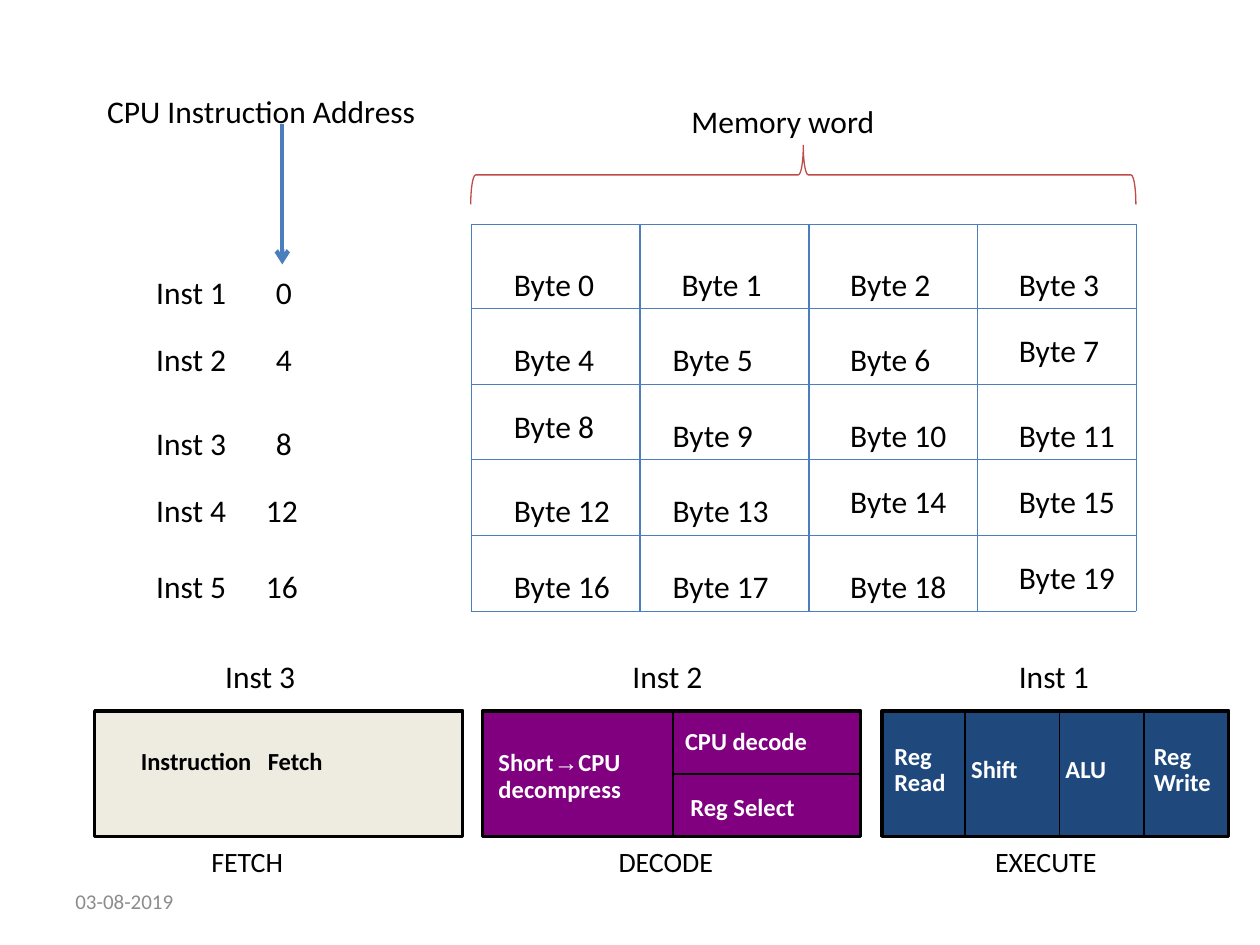
from lxml import etree
from pptx import Presentation
from pptx.dml.color import RGBColor
from pptx.enum.shapes import MSO_CONNECTOR, MSO_SHAPE
from pptx.enum.text import MSO_ANCHOR
from pptx.oxml.ns import qn
from pptx.util import Cm, Pt

STRAIGHT = MSO_CONNECTOR.STRAIGHT
MIDDLE = MSO_ANCHOR.MIDDLE
RECTANGLE = MSO_SHAPE.RECTANGLE
RIGHT_BRACE = MSO_SHAPE.RIGHT_BRACE

COLORS = {
    "text": "000000",
    "white": "FFFFFF",
    "date": "8C8C8C",
    "grid": "4B7EBC",
    "brace": "BF4C48",
    "fetch": "EEECE1",
    "decode": "800080",
    "execute": "1F497D",
}

presentation = Presentation()
presentation.slide_width = Cm(25.4)
presentation.slide_height = Cm(19.05)
slide = presentation.slides.add_slide(presentation.slide_layouts[6])


def add_text(left, top, width, height, paragraphs, size=18, color="text",
             bold=False, wrap=True, spacing=None):
    """Add a text box; each paragraph is a list of runs, "\n" being a line break."""
    box = slide.shapes.add_textbox(Cm(left), Cm(top), Cm(width), Cm(height))
    frame = box.text_frame
    frame.word_wrap = wrap
    for index, pieces in enumerate(paragraphs):
        paragraph = frame.add_paragraph() if index else frame.paragraphs[0]
        if spacing:
            paragraph.line_spacing = spacing
        for piece in pieces:
            if piece == "\n":
                paragraph.add_line_break()
                continue
            run = paragraph.add_run()
            run.text = piece
            run.font.name = "Arial" if piece == "→" else "Calibri"
            run.font.size = Pt(size)
            run.font.bold = bold
            run.font.color.rgb = RGBColor.from_string(COLORS[color])
    return box


def add_line(x1, y1, x2, y2, color, width):
    line = slide.shapes.add_connector(STRAIGHT, Cm(x1), Cm(y1), Cm(x2), Cm(y2))
    line.line.color.rgb = RGBColor.from_string(COLORS[color])
    line.line.width = Pt(width)
    etree.SubElement(line._element.spPr, qn("a:effectLst"))
    return line


# Date and headings
date = add_text(1.27, 17.65, 5.92, 1.02, [["03-08-2019"]], size=12, color="date")
date.text_frame.vertical_anchor = MIDDLE
add_text(1.91, 1.73, 7.39, 1.02, [["CPU Instruction Address"]])
add_text(13.69, 1.93, 4.24, 1.02, [["Memory word"]], wrap=False)

brace = slide.shapes.add_shape(RIGHT_BRACE, Cm(15.6), Cm(-3.18), Cm(1.19), Cm(13.41))
brace.rotation = 270
brace.shadow.inherit = False
brace.fill.background()
brace.line.color.rgb = RGBColor.from_string(COLORS["brace"])
brace.line.width = Pt(0.75)

# Memory grid
column_edges = [9.5, 12.9, 16.31, 19.71, 22.91]
row_edges = [4.52, 6.22, 7.75, 9.27, 10.8, 12.32]
for x in column_edges:
    add_line(x, row_edges[0], x, row_edges[-1], "grid", 0.75)
for y in row_edges:
    add_line(column_edges[0], y, column_edges[-1], y, "grid", 0.75)

# Byte labels: a few sit slightly higher than the rest of their row
byte_lefts = [10.11, 13.31, 16.89, 20.29]
byte_tops = [5.21, 6.73, 8.26, 9.78, 11.3]
raised_bytes = {7, 8, 14, 15, 19}
for number in range(20):
    row, column = divmod(number, 4)
    left = 13.49 if number == 1 else byte_lefts[column]
    top = byte_tops[row] - (0.18 if number in raised_bytes else 0)
    width = 2.16 if number < 10 else 2.7
    add_text(left, top, width, 0.86, [[f"Byte {number}"]])

# Instructions and their addresses
for index, top in enumerate([5.38, 6.73, 8.43, 9.78, 11.3]):
    address = 4 * index
    add_text(2.9, top, 1.93, 0.86, [[f"Inst {index + 1}"]], wrap=False)
    add_text(5.31 if address < 10 else 5.11, top, 2.21, 0.86, [[str(address)]])

address_arrow = add_line(5.69, 2.51, 5.69, 5.33, "grid", 2.5)
etree.SubElement(address_arrow.line._get_or_add_ln(), qn("a:tailEnd"), type="arrow")

# Pipeline stages: box left, width, fill, then name and instruction labels
stages = [
    (1.91, 7.42, "fetch", "FETCH", 4.01, 2.39, "Inst 3", 4.29),
    (9.73, 7.62, "decode", "DECODE", 12.22, 2.92, "Inst 2", 12.5),
    (17.78, 6.99, "execute", "EXECUTE", 19.81, 3.18, "Inst 1", 20.29),
]
stage_top = 14.33
stage_bottom = 16.86
for left, width, fill, name, name_left, name_width, instruction, instruction_left in stages:
    stage = slide.shapes.add_shape(
        RECTANGLE, Cm(left), Cm(stage_top), Cm(width), Cm(stage_bottom - stage_top))
    stage.shadow.inherit = False
    stage.fill.solid()
    stage.fill.fore_color.rgb = RGBColor.from_string(COLORS[fill])
    stage.line.color.rgb = RGBColor.from_string(COLORS["text"])
    stage.line.width = Pt(2)
    add_text(name_left, 16.97, name_width, 0.86, [[name]], size=16, wrap=False, spacing=0.9)
    add_text(instruction_left, 13.13, 1.93, 0.86, [[instruction]], wrap=False)

# Dividers inside the decode and execute stages
for x in (13.56, 19.46, 21.36, 23.06):
    add_line(x, stage_top, x, stage_bottom, "text", 1)
add_line(13.56, 15.6, 17.35, 15.6, "text", 1)

# Steps inside the stages
fetch_label = add_text(2.59, 14.99, 7.19, 0.79, [["Instruction\tFetch"]],
                       size=14, bold=True, spacing=0.9)
properties = fetch_label.text_frame.paragraphs[0]._p.get_or_add_pPr()
tabs = etree.SubElement(properties, qn("a:tabLst"))
etree.SubElement(tabs, qn("a:tab"), pos=str(Cm(2.56)), algn="l")

steps = [
    (9.8, 15.01, 3.81, 1.32, [["Short", "→", "CPU", "\n", "decompress"]]),
    (13.56, 14.58, 3.78, 0.79, [["CPU decode"]]),
    (13.67, 15.9, 3.61, 0.79, [["Reg Select"]]),
    (17.78, 14.88, 1.73, 1.32, [["Reg"], ["Read"]]),
    (19.33, 15.14, 2.11, 0.79, [["Shift"]]),
    (21.23, 15.14, 1.91, 0.79, [["ALU"]]),
    (23.01, 14.88, 1.83, 1.32, [["Reg"], ["Write"]]),
]
for left, top, width, height, paragraphs in steps:
    add_text(left, top, width, height, paragraphs, size=14, color="white",
             bold=True, spacing=0.9)

presentation.save("out.pptx")
